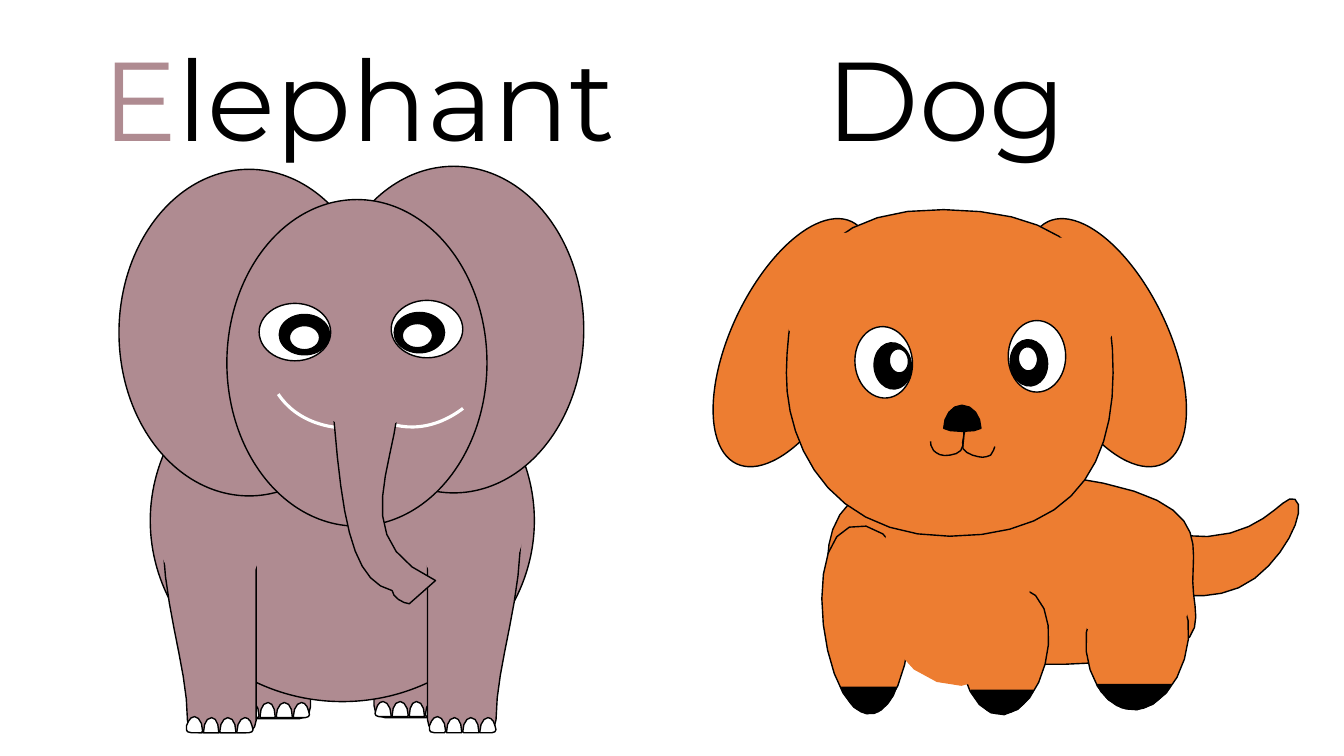
from math import ceil, hypot, sqrt

from pptx import Presentation
from pptx.dml.color import RGBColor
from pptx.enum.shapes import MSO_SHAPE as SHAPE
from pptx.enum.text import MSO_ANCHOR as ANCHOR, MSO_AUTO_SIZE as AUTO, PP_ALIGN as ALIGN
from pptx.util import Inches, Pt

MAUVE = RGBColor(0xAF, 0x8B, 0x91)
ORANGE = RGBColor(0xED, 0x7D, 0x31)
BLACK = RGBColor(0, 0, 0)
WHITE = RGBColor(0xFF, 0xFF, 0xFF)

prs = Presentation()
prs.slide_width, prs.slide_height = Inches(13.33), Inches(7.5)
slide = prs.slides.add_slide(prs.slide_layouts[5])
shapes = slide.shapes


def paint(s, fill, line, rot=0, weight=1):
    s.shadow.inherit = False
    s.rotation = rot
    if fill is None:
        s.fill.background()
    else:
        s.fill.solid()
        s.fill.fore_color.rgb = fill
    if line is None:
        s.line.fill.background()
    else:
        s.line.color.rgb = line
        s.line.width = Pt(weight)


def outline(contours, fill, line=BLACK, rot=0, side=1, dx=0, dy=0):
    fb = None
    for segments in contours:
        x, y = segments[0]
        points = [(x, y)]
        for seg in segments[1:]:
            if len(seg) == 2:
                points.append(seg)
            else:
                x1, y1, x2, y2, x3, y3 = seg
                length = hypot(x1 - x, y1 - y) + hypot(x2 - x1, y2 - y1) + hypot(x3 - x2, y3 - y2)
                steps = max(2, ceil(6 * sqrt(length)))
                for i in range(1, steps + 1):
                    t = i / steps
                    u = 1 - t
                    a, b, c, d = u ** 3, 3 * u * u * t, 3 * u * t * t, t ** 3
                    points.append((a * x + b * x1 + c * x2 + d * x3,
                                   a * y + b * y1 + c * y2 + d * y3))
            x, y = seg[-2:]
        points = [(Inches(side * px + dx), Inches(py + dy)) for px, py in points]
        if fb is None:
            fb = shapes.build_freeform(*points[0], scale=1.0)
        else:
            fb.move_to(*points[0])
        fb.add_line_segments(points[1:], close=fill is not None)
    paint(fb.convert_to_shape(), fill, line, rot)


elephant = shapes.title
dog = shapes.add_textbox(0, 0, 0, 0)
for s, left, width, runs in [
    (dog, 8.1, 2.81, [("Dog", BLACK)]),
    (elephant, 0.92, 5.7, [("E", MAUVE), ("lephant", BLACK)]),
]:
    s.left, s.top, s.width, s.height = Inches(left), Inches(0.24), Inches(width), Inches(1.45)
    tf = s.text_frame
    tf.word_wrap = True
    tf.auto_size = AUTO.SHAPE_TO_FIT_TEXT
    tf.vertical_anchor = ANCHOR.TOP
    p = tf.paragraphs[0]
    p.alignment = ALIGN.LEFT
    p.line_spacing = 1.0
    for text, color in runs:
        r = p.add_run()
        r.text = text
        r.font.name = "Montserrat"
        r.font.size = Pt(80)
        r.font.color.rgb = color

dog_tail = [(11.72, 5.46), (12.5, 5.19, 12.44, 4.62, 12.59, 4.63),
            (12.73, 4.64, 12.77, 5.12, 12.58, 5.51),
            (12.38, 5.91, 11.87, 6.04, 11.73, 6.04), (11.58, 6.03, 10.94, 5.74, 11.72, 5.46)]
outline([dog_tail], ORANGE, rot=26.3)

for left, rot in [(10.34, 334.6), (7.25, 25.4)]:
    s = shapes.add_shape(SHAPE.OVAL, Inches(left), Inches(2.07), Inches(1.25), Inches(2.66))
    paint(s, ORANGE, BLACK, rot)

dog_body = [(8.21, 5.77), (8.21, 5.45, 8.05, 4.5, 10.06, 4.67),
            (12.06, 4.85, 11.83, 5.31, 11.83, 5.77),
            (11.83, 6.22, 12.24, 6.63, 10.02, 6.59), (7.8, 6.55, 8.2, 6.09, 8.21, 5.77)]
hind_leg = [(11.28, 7.04), (10.73, 7.1, 10.48, 5.86, 11.28, 5.77),
            (12.08, 5.67, 11.83, 6.98, 11.28, 7.04)]
middle_leg = [(9.96, 7.09), (9.49, 7.15, 9.27, 5.91, 9.96, 5.82),
              (10.65, 5.72, 10.44, 7.03, 9.96, 7.09)]
front_leg = [(8.59, 7.08), (9.06, 7.17, 9.28, 5.36, 8.59, 5.22),
             (7.9, 5.08, 8.12, 7, 8.59, 7.08)]
chest = [(10.77, 5.64), (10.96, 4.85, 8.53, 4.27, 8.24, 5.42),
         (7.95, 6.57, 10.59, 6.43, 10.77, 5.64)]
dog_head = [(7.8, 3.7), (7.81, 3.04, 7.93, 2.06, 9.36, 2.08), (10.8, 2.09, 11.04, 2.8, 11.04, 3.7),
            (11.04, 4.59, 10.66, 5.32, 9.42, 5.32), (8.18, 5.32, 7.79, 4.35, 7.8, 3.7)]
left_cheek = [(9.18, 3.23), (9.45, 2.41, 8.26, 1.7, 7.85, 2.89),
              (7.45, 4.08, 8.91, 4.04, 9.18, 3.23)]
right_cheek = [(9.68, 3.27), (9.41, 2.45, 10.61, 1.75, 11.01, 2.94),
               (11.41, 4.12, 9.95, 4.09, 9.68, 3.27)]
haunch = [(11.31, 6.47), (11.91, 6.43, 12.06, 5.48, 11.19, 5.52),
          (10.31, 5.56, 10.71, 6.5, 11.31, 6.47)]
for part, line, rot in [
    (dog_body, BLACK, 0), (hind_leg, BLACK, 0), (middle_leg, BLACK, 0), (front_leg, BLACK, 0),
    (chest, ORANGE, 274.9), (dog_head, BLACK, 0), (left_cheek, ORANGE, 284.1),
    (right_cheek, ORANGE, 75.9), (haunch, ORANGE, 352.4),
]:
    outline([part], ORANGE, line, rot)

middle_paw = [(9.63, 6.85), (10.25, 6.85), (10.19, 6.94), (10.13, 7.02, 10.05, 7.07, 9.96, 7.08),
              (9.84, 7.1, 9.74, 7.03, 9.67, 6.92)]
hind_paw = [(10.88, 6.79), (11.62, 6.79), (11.55, 6.88), (11.47, 6.97, 11.38, 7.03, 11.27, 7.04),
            (11.13, 7.05, 11.01, 6.98, 10.92, 6.86)]
front_paw = [(8.89, 6.82), (8.34, 6.82), (8.39, 6.91), (8.45, 7.01, 8.52, 7.07, 8.6, 7.08),
             (8.7, 7.1, 8.79, 7.02, 8.86, 6.9)]
nose = [(9.73, 4.25), (9.73, 4.13, 9.65, 4.02, 9.54, 4.02), (9.44, 4.02, 9.36, 4.13, 9.36, 4.25),
        (9.39, 4.29, 9.7, 4.29, 9.73, 4.25)]
for part in (middle_paw, hind_paw, front_paw, nose):
    outline([part], BLACK)

for left, top, width, height, fill, rot in [
    (10, 3.18, 0.57, 0.71, WHITE, 0), (8.48, 3.24, 0.57, 0.71, WHITE, 354.3),
    (8.67, 3.4, 0.37, 0.46, BLACK, 354.3), (10.02, 3.37, 0.37, 0.46, BLACK, 354.3),
    (10.1, 3.44, 0.19, 0.24, WHITE, 354.3), (8.82, 3.46, 0.19, 0.24, WHITE, 354.3),
]:
    s = shapes.add_shape(SHAPE.OVAL, Inches(left), Inches(top), Inches(width), Inches(height))
    paint(s, fill, BLACK, rot)

right_lip = [(9.56, 4.26), (9.55, 4.34, 9.54, 4.42, 9.56, 4.47), (9.59, 4.51, 9.67, 4.53, 9.72, 4.53),
             (9.76, 4.54, 9.81, 4.52, 9.84, 4.5), (9.86, 4.48, 9.87, 4.41, 9.87, 4.41)]
left_lip = [(9.56, 4.26), (9.56, 4.35, 9.56, 4.43, 9.53, 4.47), (9.5, 4.51, 9.41, 4.52, 9.37, 4.52),
            (9.32, 4.52, 9.28, 4.49, 9.26, 4.47), (9.23, 4.45, 9.23, 4.38, 9.23, 4.38)]
outline([right_lip], None, rot=7.3)
outline([left_lip], None)

leg = [(2.54, 5), (2.54, 4.94, 2.49, 4.89, 2.43, 4.89), (1.98, 4.89),
       (1.91, 4.89, 1.71, 4.48, 1.71, 4.54), (1.43, 5.62, 1.86, 6.44, 1.86, 7.15),
       (1.86, 7.22, 1.91, 7.27, 1.98, 7.27), (2.43, 7.27), (2.49, 7.27, 2.54, 7.22, 2.54, 7.15)]
first_toe = [(1.93, 7.11), (1.89, 7.11, 1.87, 7.15, 1.85, 7.2), (1.85, 7.24), (1.86, 7.26),
             (1.9, 7.27), (2, 7.27), (2.01, 7.25), (2.01, 7.17, 1.97, 7.11, 1.93, 7.11)]
second_toe = [(2.1, 7.12), (2.05, 7.12, 2.02, 7.18, 2.02, 7.26), (2.02, 7.27), (2.17, 7.27),
              (2.17, 7.26), (2.17, 7.18, 2.14, 7.12, 2.1, 7.12)]
third_toe = [(2.26, 7.12), (2.22, 7.12, 2.18, 7.18, 2.18, 7.26), (2.19, 7.27), (2.34, 7.27),
             (2.34, 7.26), (2.34, 7.18, 2.31, 7.12, 2.26, 7.12)]
last_toe = [(2.43, 7.12), (2.39, 7.12, 2.35, 7.18, 2.35, 7.26), (2.35, 7.27), (2.47, 7.27),
            (2.5, 7.26), (2.51, 7.24), (2.5, 7.2), (2.49, 7.15, 2.46, 7.12, 2.43, 7.12)]
toes = [first_toe, second_toe, third_toe, last_toe]
belly = (1.49, 3.37, 3.81, 3.59, BLACK, 0)
left_shoulder = (1.53, 4.42, 1.07, 1.54, None, 351.3)
right_shoulder = (4.14, 4.38, 1.07, 1.54, None, 3.6)
for side, leg_dx, leg_dy, toe_side, toe_dx, toe_dy, cover in [
    (1, 0.54, -0.14, 1, 0.56, -0.15, None), (-1, 6.25, -0.15, -1, 6.23, -0.16, belly),
    (1, 0, 0, 1, 0, 0, left_shoulder), (-1, 6.78, -0.01, 1, 2.41, 0, right_shoulder),
]:
    outline([leg], MAUVE, side=side, dx=leg_dx, dy=leg_dy)
    outline(toes, WHITE, side=toe_side, dx=toe_dx, dy=toe_dy)
    if cover:
        left, top, width, height, line, rot = cover
        s = shapes.add_shape(SHAPE.OVAL, Inches(left), Inches(top), Inches(width), Inches(height))
        paint(s, MAUVE, line, rot)

for left, top in [(3.21, 1.65), (1.18, 1.68), (2.25, 1.98)]:
    s = shapes.add_shape(SHAPE.OVAL, Inches(left), Inches(top), Inches(2.58), Inches(3.24))
    paint(s, MAUVE, BLACK)

for width, height, fill, spots in [
    (0.71, 0.57, WHITE, [(2.57, 3.01), (3.88, 2.98)]),
    (0.5, 0.4, BLACK, [(2.77, 3.12), (3.91, 3.1)]),
    (0.3, 0.24, WHITE, [(2.87, 3.23), (3.99, 3.21)]),
]:
    for left, top in spots:
        s = shapes.add_shape(SHAPE.OVAL, Inches(left), Inches(top), Inches(width), Inches(height))
        paint(s, fill, BLACK)

for left, top, rot in [(2.84, 2.1, 236.4), (3.31, 1.92, 194.1)]:
    s = shapes.add_shape(SHAPE.ARC, Inches(left), Inches(top), Inches(1.78), Inches(2.33))
    s.adjustments[0], s.adjustments[1] = 140.28, 162
    paint(s, None, WHITE, rot, 2.25)

trunk = [(3.96, 3.87), (3.96, 3.81, 3.91, 3.76, 3.85, 3.76), (3.4, 3.76),
         (3.34, 3.76, 3.29, 3.81, 3.29, 3.87), (3.38, 5.09, 3.47, 5.76, 3.89, 5.86),
         (3.89, 5.92, 4, 5.99, 4.06, 5.99), (4.32, 5.76), (3.4, 5.34, 3.96, 4.59, 3.96, 3.87)]
outline([trunk], MAUVE)
s = shapes.add_shape(SHAPE.OVAL, Inches(3.16), Inches(3.6), Inches(0.94), Inches(0.66))
paint(s, MAUVE, MAUVE)

prs.save("out.pptx")
